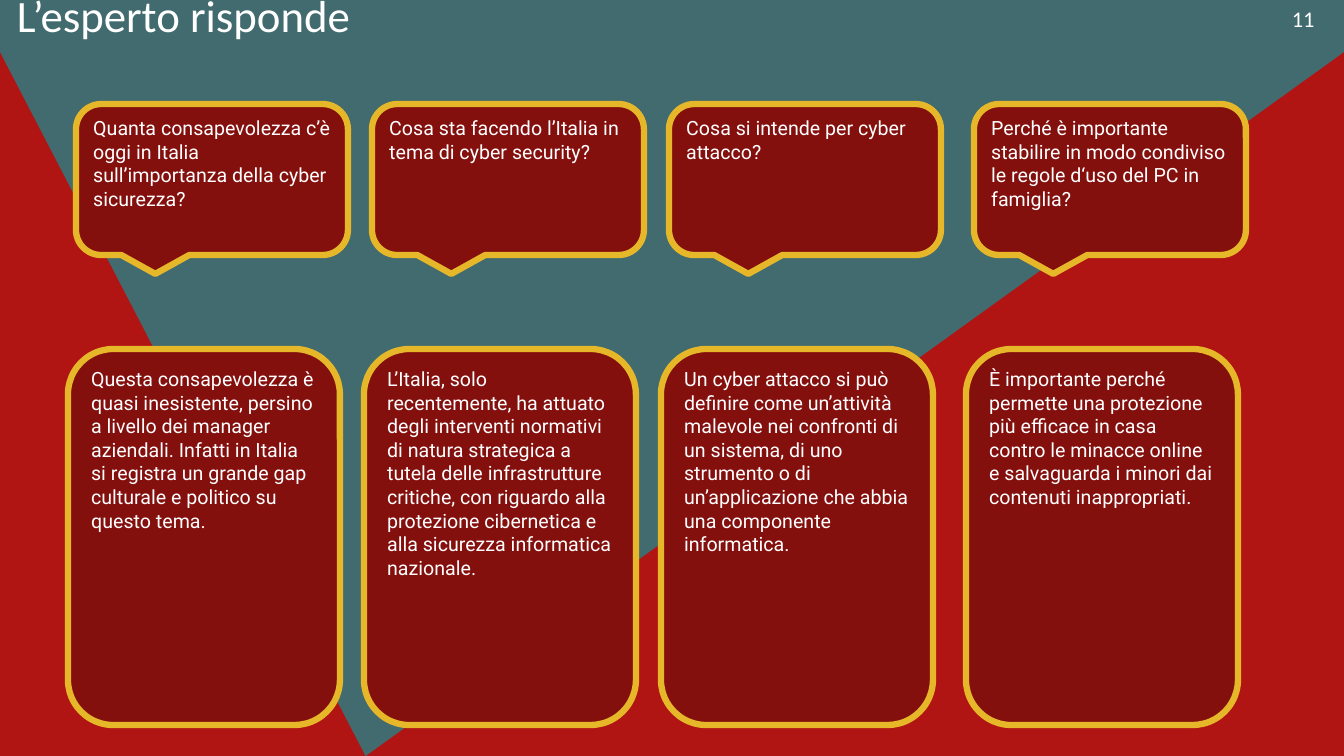
import pptx
import pptx.util
import pptx.dml.color
import pptx.enum.shapes
import pptx.enum.text

SHAPES = pptx.enum.shapes.MSO_SHAPE
EMU_PER_PX = 914400 / 100.8

THEME = {
    "background": "B01513",
    "teal": "426B6F",
    "card": "84100E",
    "border": "E6B729",
    "text": "FFFFFF",
    "heading_font": "Calibri",
    "body_font": "Roboto",
    "title_size": 32,
    "number_size": 16,
    "body_size": 14,
    "border_width": 4.5,
}


def add_block(kind, box, fill, border=None):
    """Add a preset shape, or a text box when kind is None; box is in px."""
    lengths = [pptx.util.Emu(round(value * EMU_PER_PX)) for value in box]
    if kind is None:
        return slide.shapes.add_textbox(*lengths)
    shape = slide.shapes.add_shape(kind, *lengths)
    shape.shadow.inherit = False
    shape.fill.solid()
    shape.fill.fore_color.rgb = pptx.dml.color.RGBColor.from_string(fill)
    if border:
        shape.line.color.rgb = pptx.dml.color.RGBColor.from_string(border)
        shape.line.width = pptx.util.Pt(THEME["border_width"])
    else:
        shape.line.fill.background()
    return shape


def write(shape, text, font_name, size):
    """Put one left-aligned paragraph at the top of the shape."""
    frame = shape.text_frame
    frame.word_wrap = True
    frame.vertical_anchor = pptx.enum.text.MSO_ANCHOR.TOP
    paragraph = frame.paragraphs[0]
    paragraph.alignment = pptx.enum.text.PP_ALIGN.LEFT
    run = paragraph.add_run()
    run.text = text
    run.font.name = font_name
    run.font.size = pptx.util.Pt(size)
    run.font.color.rgb = pptx.dml.color.RGBColor.from_string(THEME["text"])


presentation = pptx.Presentation()
presentation.slide_width = pptx.util.Emu(round(1344 * EMU_PER_PX))
presentation.slide_height = pptx.util.Emu(round(756 * EMU_PER_PX))
slide = presentation.slides.add_slide(presentation.slide_layouts[6])

# Background with inverted triangle and top band
slide.background.fill.solid()
slide.background.fill.fore_color.rgb = pptx.dml.color.RGBColor.from_string(THEME["background"])
triangle = add_block(SHAPES.ISOSCELES_TRIANGLE, (0, 52, 1344, 704), THEME["teal"])
triangle.adjustments[0] = 0.728
triangle.rotation = 180
add_block(SHAPES.RECTANGLE, (0, 0, 1344, 52), THEME["teal"])

# Page number and title
page_number = add_block(None, (1282, 0, 55, 37), None)
write(page_number, "11", THEME["heading_font"], THEME["number_size"])
title = add_block(None, (7, -17, 1267, 37), None)
write(title, "L’esperto risponde", THEME["heading_font"], THEME["title_size"])

# Question callouts, each with its answer card below
ANSWER_SHIFT = 8
COLUMNS = [
    (76, "Quanta consapevolezza c’è oggi in Italia sull’importanza della cyber sicurezza?",
     "Questa consapevolezza è quasi inesistente, persino a livello dei manager aziendali. "
     "Infatti in Italia si registra un grande gap culturale e politico su questo tema."),
    (372, "Cosa sta facendo l’Italia in tema di cyber security?",
     "L’Italia, solo recentemente, ha attuato degli interventi normativi di natura strategica "
     "a tutela delle infrastrutture critiche, con riguardo alla protezione cibernetica e alla "
     "sicurezza informatica nazionale."),
    (669, "Cosa si intende per cyber attacco?",
     "Un cyber attacco si può definire come un’attività malevole nei confronti di un sistema, "
     "di uno strumento o di un’applicazione che abbia una componente informatica."),
    (974, "Perché è importante stabilire in modo condiviso le regole d‘uso del PC in famiglia?",
     "È importante perché permette una protezione più efficace in casa contro le minacce "
     "online e salvaguarda i minori dai contenuti inappropriati."),
]
for left, question, answer in COLUMNS:
    cards = [
        (SHAPES.ROUNDED_RECTANGULAR_CALLOUT, (left, 104, 272, 151), question),
        (SHAPES.ROUNDED_RECTANGLE, (left - ANSWER_SHIFT, 349, 272, 376), answer),
    ]
    for kind, box, text in cards:
        card = add_block(kind, box, THEME["card"], THEME["border"])
        write(card, text, THEME["body_font"], THEME["body_size"])

presentation.save("out.pptx")
